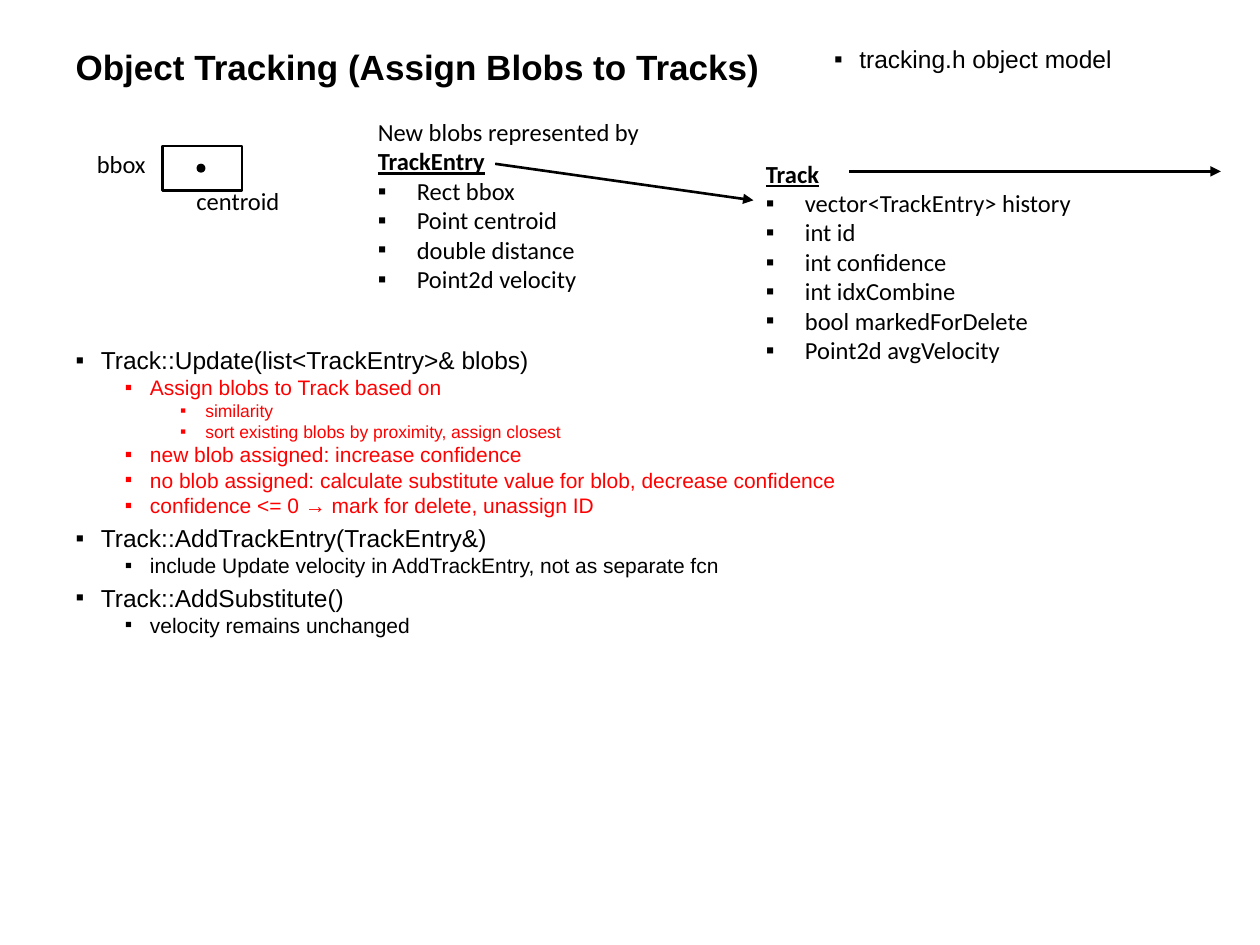
import pptx
import pptx.util
import pptx.dml.color
import pptx.enum.shapes
import pptx.enum.text
import pptx.oxml.ns
import lxml.etree

Inches = pptx.util.Inches
Pt = pptx.util.Pt
Shape = pptx.enum.shapes.MSO_SHAPE
Anchor = pptx.enum.text.MSO_ANCHOR
Fit = pptx.enum.text.MSO_AUTO_SIZE
Align = pptx.enum.text.PP_ALIGN
BLACK = pptx.dml.color.RGBColor(0, 0, 0)
RED = pptx.dml.color.RGBColor(255, 0, 0)


def add_tag(parent, name, **attrs):
    """Append a DrawingML element to the parent."""
    return lxml.etree.SubElement(parent, pptx.oxml.ns.qn(name), attrs)


class Deck:
    """Holds the style and the current slide."""

    head, text = "Arial", "Calibri"
    size, line = 14, 1.5
    # Left margin, hanging indent, size and space before of each list level
    levels = [(0.2, 0.2, 14, 3), (0.59, 0.2, 12, 0), (1.03, 0.2, 10, 0)]

    def __init__(self):
        """Start a deck with one slide."""
        self.prs = pptx.Presentation()
        self.prs.slide_width = Inches(10)
        self.prs.slide_height = Inches(7.5)
        self.slide = self.prs.slides.add_slide(self.prs.slide_layouts[3])

    def run(self, para, text, size, font, color=BLACK, bold=False, under=False):
        """Add one formatted run."""
        run = para.add_run()
        run.text = text
        run.font.size, run.font.name = Pt(size), font
        run.font.bold, run.font.underline = bold, under
        run.font.color.rgb = color

    def bullet(self, para, left, hang):
        """Give a paragraph a square bullet and a hanging indent."""
        props = para._p.get_or_add_pPr()
        props.set("marL", str(Inches(left)))
        props.set("indent", str(-Inches(hang)))
        add_tag(props, "a:buFont", typeface="Arial")
        add_tag(props, "a:buChar", char="▪")

    def paras(self, frame, items):
        """Yield one paragraph for each item."""
        for num, item in enumerate(items):
            yield (frame.add_paragraph() if num else frame.paragraphs[0]), item

    def holder(self, index, box):
        """Move a placeholder and return its text frame."""
        shape = self.slide.placeholders[index]
        shape.left, shape.top, shape.width, shape.height = map(Inches, box)
        frame = shape.text_frame
        frame.word_wrap, frame.auto_size = True, Fit.NONE
        return frame

    def title(self, text, box):
        """Fill the title."""
        frame = self.holder(0, box)
        frame.vertical_anchor = Anchor.MIDDLE
        para = frame.paragraphs[0]
        para.alignment = Align.LEFT
        self.run(para, text, 20, self.head, bold=True)

    def body(self, index, box, items):
        """Fill a body placeholder with (level, text, color) items."""
        frame = self.holder(index, box)
        for para, (level, text, color) in self.paras(frame, items):
            left, hang, size, space = self.levels[level]
            para.level = level
            para.space_before = Pt(space)
            self.bullet(para, left, hang)
            self.run(para, text, size, self.head, color)

    def note(self, box, lines, name=None, fields=(), wrap=True, group=None):
        """Add plain lines, an underlined class name and its fields."""
        shapes = (group or self.slide).shapes
        frame = shapes.add_textbox(*map(Inches, box)).text_frame
        frame.word_wrap, frame.auto_size = wrap, Fit.SHAPE_TO_FIT_TEXT
        rows = [(line, "line") for line in lines]
        rows += [(name, "name")] if name else []
        rows += [(field, "field") for field in fields]
        for para, (text, kind) in self.paras(frame, rows):
            if kind == "field":
                self.bullet(para, 0.31, 0.31)
            strong = kind == "name"
            self.run(para, text, self.size, self.text, bold=strong, under=strong)

    def shape(self, group, kind, box, fill=None):
        """Add an outlined shape to a group."""
        shape = group.shapes.add_shape(kind, *map(Inches, box))
        shape.shadow.inherit = False
        if fill is None:
            shape.fill.background()
        else:
            shape.fill.solid()
            shape.fill.fore_color.rgb = fill
        shape.line.color.rgb, shape.line.width = BLACK, Pt(self.line)

    def arrow(self, *ends):
        """Add a straight arrow from x, y to x, y."""
        kind = pptx.enum.shapes.MSO_CONNECTOR.STRAIGHT
        link = self.slide.shapes.add_connector(kind, *map(Inches, ends))
        link.line.color.rgb, link.line.width = BLACK, Pt(self.line)
        add_tag(link.line._get_or_add_ln(), "a:tailEnd", type="triangle")
        add_tag(link._element.spPr, "a:effectLst")


deck = Deck()
deck.title("Object Tracking (Assign Blobs to Tracks)", (0.5, 0.3, 9, 0.46))
deck.body(2, (6.52, 0.3, 2.65, 0.44), [(0, "tracking.h object model", BLACK)])

deck.note((2.9, 0.88, 2.3, 1.51), ["New blobs represented by"], "TrackEntry",
          ["Rect bbox", "Point centroid", "double distance", "Point2d velocity"],
          wrap=False)
deck.note((5.98, 1.21, 2.88, 1.75), [], "Track",
          ["vector<TrackEntry> history", "int id", "int confidence",
           "int idxCombine", "bool markedForDelete", "Point2d avgVelocity"])

blob = deck.slide.shapes.add_group_shape()
deck.shape(blob, Shape.RECTANGLE, (1.29, 1.16, 0.63, 0.35))
deck.note((0.67, 1.13, 0.87, 0.34), ["bbox"], group=blob)
deck.shape(blob, Shape.OVAL, (1.57, 1.31, 0.05, 0.05), BLACK)
deck.note((1.46, 1.43, 1.25, 0.34), ["centroid"], group=blob)

deck.arrow(6.74, 1.36, 9.69, 1.36)
deck.arrow(3.93, 1.3, 5.98, 1.59)

deck.body(1, (0.5, 2.69, 9, 4.41), [
    (0, "Track::Update(list<TrackEntry>& blobs)", BLACK),
    (1, "Assign blobs to Track based on", RED),
    (2, "similarity", RED),
    (2, "sort existing blobs by proximity, assign closest", RED),
    (1, "new blob assigned: increase confidence", RED),
    (1, "no blob assigned: calculate substitute value for blob, "
        "decrease confidence", RED),
    (1, "confidence <= 0 → mark for delete, unassign ID", RED),
    (0, "Track::AddTrackEntry(TrackEntry&)", BLACK),
    (1, "include Update velocity in AddTrackEntry, not as separate fcn", BLACK),
    (0, "Track::AddSubstitute()", BLACK),
    (1, "velocity remains unchanged", BLACK),
])
deck.prs.save("out.pptx")
